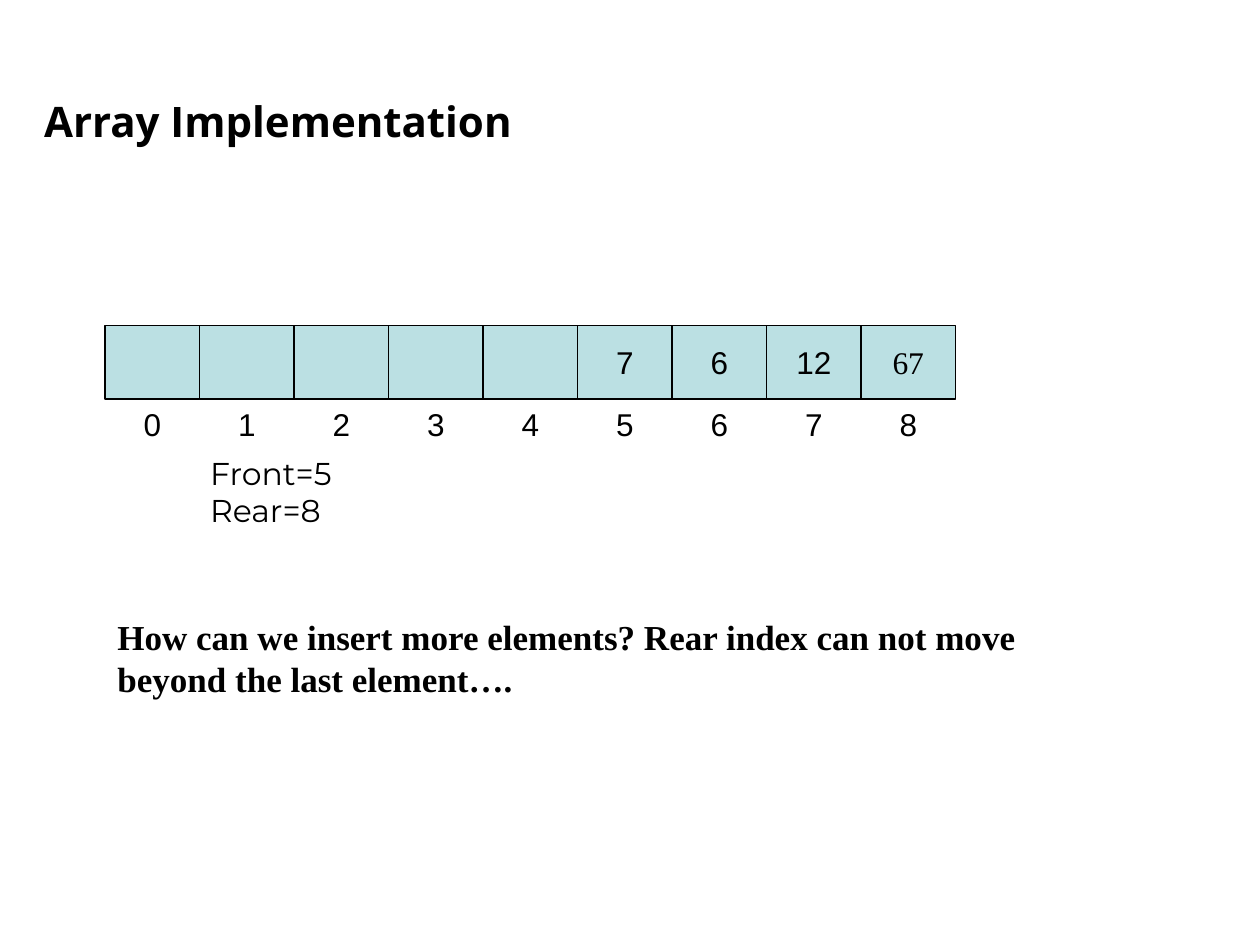
from dataclasses import dataclass

from lxml import etree
from pptx import Presentation
from pptx.dml.color import RGBColor
from pptx.enum.shapes import MSO_SHAPE
from pptx.enum.text import MSO_ANCHOR, MSO_AUTO_SIZE, PP_ALIGN
from pptx.oxml.ns import qn
from pptx.util import Pt

RECTANGLE = MSO_SHAPE.RECTANGLE
TOP, MIDDLE = MSO_ANCHOR.TOP, MSO_ANCHOR.MIDDLE
LEFT, CENTER = PP_ALIGN.LEFT, PP_ALIGN.CENTER
NO_AUTO_SIZE = MSO_AUTO_SIZE.NONE
TITLE_ONLY = 5


@dataclass(frozen=True)
class Theme:
    ink: RGBColor = RGBColor(0, 0, 0)
    cell: RGBColor = RGBColor(0xBB, 0xE0, 0xE3)
    title_font: str = "Open Sans"
    array_font: str = "Arial"
    state_font: str = "Montserrat"
    serif_font: str = "Times New Roman"
    title_size: int = 24
    body_size: int = 18
    question_size: int = 20
    border: float = 0.75


THEME = Theme()


def set_attributes(target, values):
    for name, value in values.items():
        setattr(target, name, value)


def write(shape, lines, font, size=THEME.body_size, bold=False,
          align=LEFT, anchor=TOP, wrap=True):
    frame = shape.text_frame
    frame.text = "\n".join(lines)
    set_attributes(frame, {"auto_size": NO_AUTO_SIZE, "word_wrap": wrap,
                           "vertical_anchor": anchor})
    for paragraph in frame.paragraphs:
        paragraph.alignment = align
        for run in paragraph.runs:
            set_attributes(run.font, {"name": font, "size": Pt(size), "bold": bold})
            run.font.color.rgb = THEME.ink


def add_text(shapes, box, lines, font, **format_values):
    shape = shapes.add_textbox(*map(Pt, box))
    write(shape, lines, font, **format_values)
    return shape


def add_title(slide, box, text):
    title = slide.shapes.title
    names = ("left", "top", "width", "height")
    set_attributes(title, dict(zip(names, map(Pt, box))))
    write(title, [text], THEME.title_font, size=THEME.title_size,
          bold=True, anchor=MIDDLE)


def add_centre_tabs(paragraph, positions):
    properties = paragraph._p.get_or_add_pPr()
    tab_list = etree.SubElement(properties, qn("a:tabLst"))
    for position in positions:
        etree.SubElement(tab_list, qn("a:tab"), pos=str(Pt(position)), algn="ctr")


def add_array(shapes, box, values, fonts):
    left, top, width, height = box
    cell_width = width / len(values)

    # Cells
    for index, value in enumerate(values):
        cell_box = (left + index * cell_width, top, cell_width, height)
        cell = shapes.add_shape(RECTANGLE, *map(Pt, cell_box))
        cell.shadow.inherit = False
        cell.fill.solid()
        cell.fill.fore_color.rgb = THEME.cell
        cell.line.color.rgb = THEME.ink
        cell.line.width = Pt(THEME.border)
        if value:
            write(cell, [value], fonts.get(index, THEME.array_font),
                  align=CENTER, anchor=MIDDLE, wrap=False)

    # Index row, one centred tab stop under each cell
    labels = "".join(f"\t{index}" for index in range(len(values)))
    index_row = add_text(shapes, (left, top + height, width, 29),
                         [labels], THEME.array_font)
    set_attributes(index_row.text_frame, {"margin_left": 0, "margin_right": 0})
    add_centre_tabs(index_row.text_frame.paragraphs[0],
                    [(index + 0.5) * cell_width for index in range(len(values))])

    # Queue state
    add_text(shapes, (left + cell_width - 1, top + height + 27.6, 103, 51),
             ["Front=5", "Rear=8"], THEME.state_font)


def build_slide(presentation):
    slide = presentation.slides.add_slide(presentation.slide_layouts[TITLE_ONLY])
    add_title(slide, (18, 42, 648, 54), "Array Implementation")
    queue = slide.shapes.add_group_shape()
    add_array(queue.shapes, (60, 186, 486, 42),
              [""] * 5 + ["7", "6", "12", "67"], {8: THEME.serif_font})
    add_text(slide.shapes, (60, 348, 540, 55.5),
             ["How can we insert more elements? Rear index can not move "
              "beyond the last element…."],
             THEME.serif_font, size=THEME.question_size, bold=True)


presentation = Presentation()
set_attributes(presentation, {"slide_width": Pt(720), "slide_height": Pt(540)})
build_slide(presentation)
presentation.save("out.pptx")
